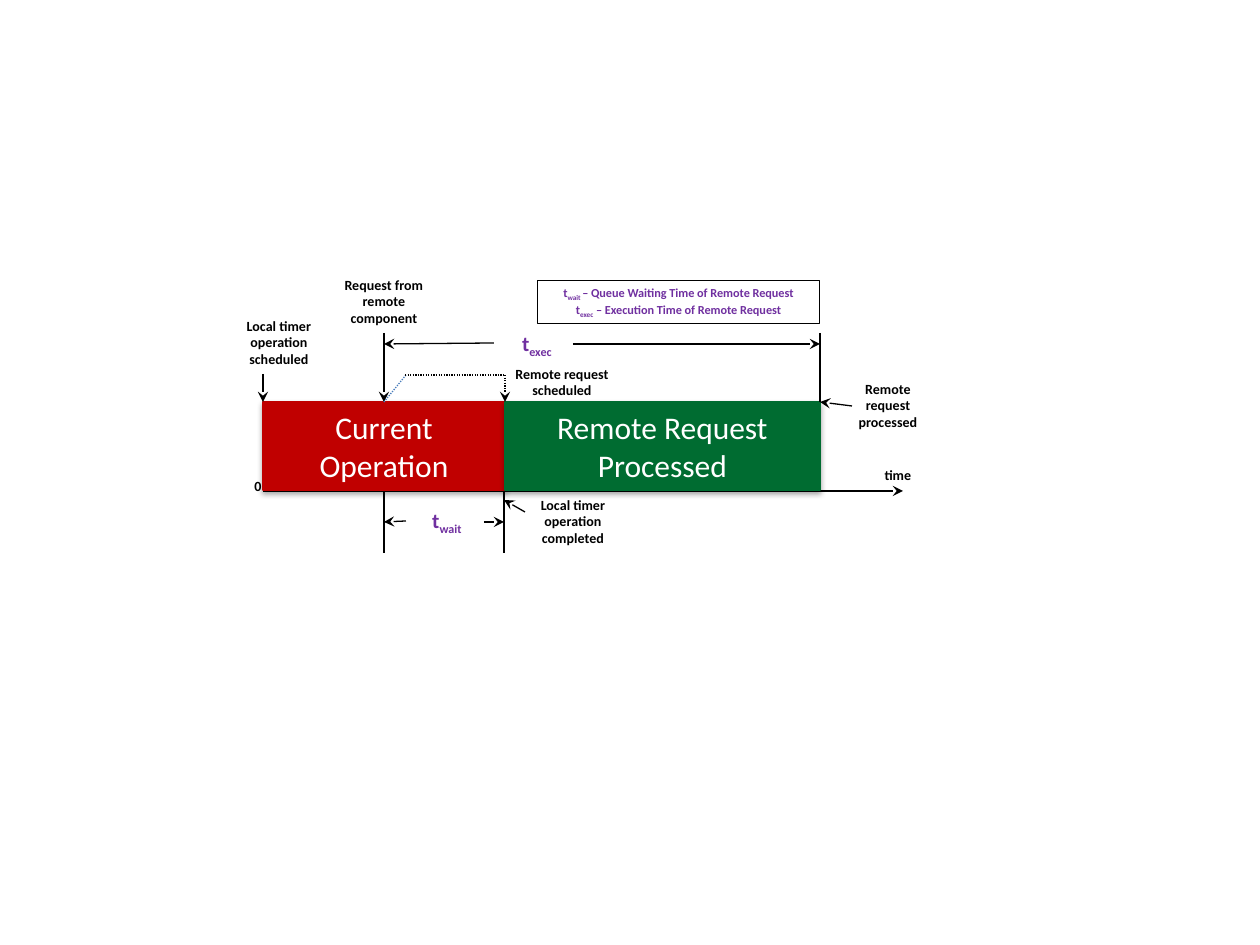
"""Build a timing diagram of a remote request queued behind a local operation."""
from lxml import etree
from pptx import Presentation, util as u
from pptx.dml.color import RGBColor
from pptx.enum import dml, shapes, text
from pptx.oxml.ns import qn

PX = 914400 / 126
HUE = {"black": "000000", "white": "FFFFFF", "red": "C00000",
       "green": "006C31", "purple": "7030A0", "blue": "4B7EBC"}


def draw(x1, y1, x2, y2, head=True, wide=0.75, hue="black", dots=False):
    ends = [u.Emu(round(n * PX)) for n in (x1, y1, x2, y2)]
    line = slide.shapes.add_connector(shapes.MSO_CONNECTOR.STRAIGHT, *ends)
    line.line.color.rgb = RGBColor.from_string(HUE[hue])
    line.line.width = u.Pt(wide)
    if dots:
        line.line.dash_style = dml.MSO_LINE.ROUND_DOT
    if head:
        etree.SubElement(line.line._get_or_add_ln(), qn("a:tailEnd"), type="stealth")
    etree.SubElement(line._element.spPr, qn("a:effectLst"))


def write(shape, paras, size, hue, bold=True):
    frame = shape.text_frame
    frame.word_wrap = True
    for i, runs in enumerate(paras):
        para = frame.paragraphs[0] if i == 0 else frame.add_paragraph()
        para.alignment = text.PP_ALIGN.CENTER
        for words, sub in runs:
            run = para.add_run()
            run.text = words
            run.font.name = "Calibri"
            run.font.size = u.Pt(size)
            run.font.bold = bold
            run.font.color.rgb = RGBColor.from_string(HUE[hue])
            if sub:
                run.font._element.set("baseline", "-25000")


deck = Presentation()
deck.slide_width, deck.slide_height = u.Inches(10), u.Inches(7.5)
slide = deck.slides.add_slide(deck.slide_layouts[6])

start, ask, turn, end = 263, 384, 504, 820
top, base = 402, 491

for x in (turn, ask):
    draw(x, base, x, 553, head=False)
draw(start, base, 903, base, wide=1.25)

legend = [
    [("t", False), ("wait ", True), ("– Queue Waiting Time of Remote Request", False)],
    [("t", False), ("exec", True), (" – Execution Time of Remote Request", False)],
]
boxes = [
    (start, top, 242, 88, "red", "red", 0.75, [[("Current Operation", False)]], 18, "white"),
    (505, top, 315, 88, "green", "green", 0.75,
     [[("Remote Request Processed", False)]], 18, "white"),
    (537, 280, 283, 44, "white", "black", 0.5, legend, 7, "purple"),
]
for x, y, w, h, fill, edge, wide, paras, size, hue in boxes:
    place = [u.Emu(round(n * PX)) for n in (x, y, w, h)]
    box = slide.shapes.add_shape(shapes.MSO_SHAPE.RECTANGLE, *place)
    box.shadow.inherit = False
    box.fill.solid()
    box.fill.fore_color.rgb = RGBColor.from_string(HUE[fill])
    box.line.color.rgb = RGBColor.from_string(HUE[edge])
    box.line.width = u.Pt(wide)
    box.text_frame.vertical_anchor = text.MSO_ANCHOR.MIDDLE
    write(box, paras, size, hue, bold=paras is legend)
    if paras is not legend:
        glow = box._element.spPr.find(qn("a:effectLst"))
        shade = etree.SubElement(glow, qn("a:outerShdw"), blurRad="40000",
                                 dist="23000", dir="5400000", rotWithShape="0")
        tint = etree.SubElement(shade, qn("a:srgbClr"), val=HUE["black"])
        etree.SubElement(tint, qn("a:alpha"), val="35000")

arrows = [
    (start, 374, start, top),
    (ask, 333, ask, top),
    (525, 512, turn, 500),
    (406, 521, ask, 522),
    (484, 522, turn, 522),
    (494, 343, ask, 344),
    (573, 344, end, 344),
    (852, 406, end, top),
]
for ends in arrows:
    draw(*ends)
draw(end, 333, end, top, head=False)
draw(ask, top, 406, 375, head=False, hue="blue", dots=True)
draw(405, 375, turn, 375, head=False, dots=True)
draw(505, 375, 505, top, dots=True)

labels = [
    (490, 359, 144, 47, "Remote request scheduled"),
    (326, 270, 116, 63, "Request from remote component"),
    (200, 471, 116, 30, "0"),
    (840, 460, 116, 30, "time"),
    (515, 490, 116, 63, "Local timer operation completed"),
    (830, 374, 116, 63, "Remote request processed"),
    (221, 311, 116, 63, "Local timer operation scheduled"),
    (389, 501, 116, 38, "wait"),
    (479, 324, 116, 38, "exec"),
]
for x, y, w, h, words in labels:
    place = [u.Emu(round(n * PX)) for n in (x, y, w, h)]
    label = slide.shapes.add_textbox(*place)
    label.text_frame.auto_size = text.MSO_AUTO_SIZE.SHAPE_TO_FIT_TEXT
    if words in ("wait", "exec"):
        write(label, [[("t", False), (words, True)]], 12, "purple")
    else:
        write(label, [[(words, False)]], 8, "black")

deck.save("out.pptx")
